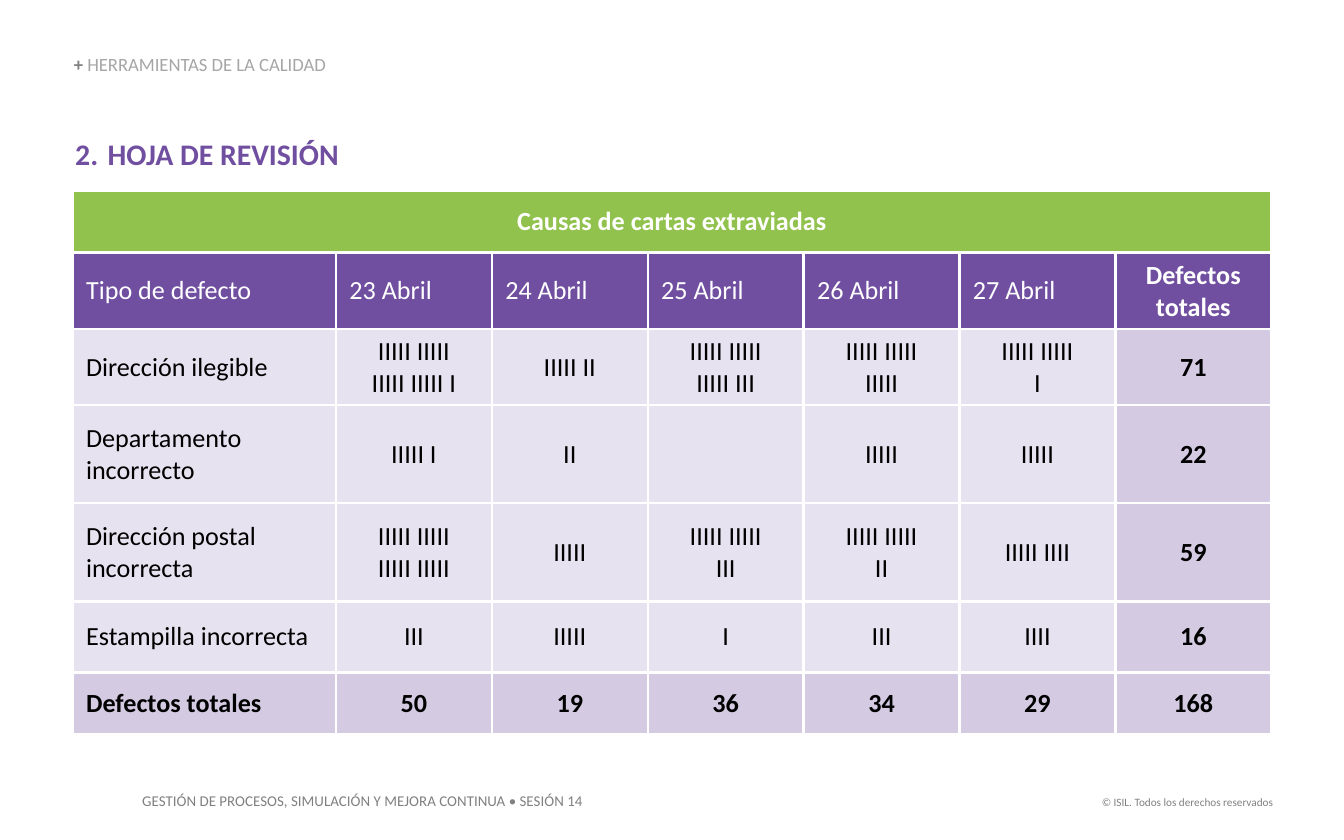
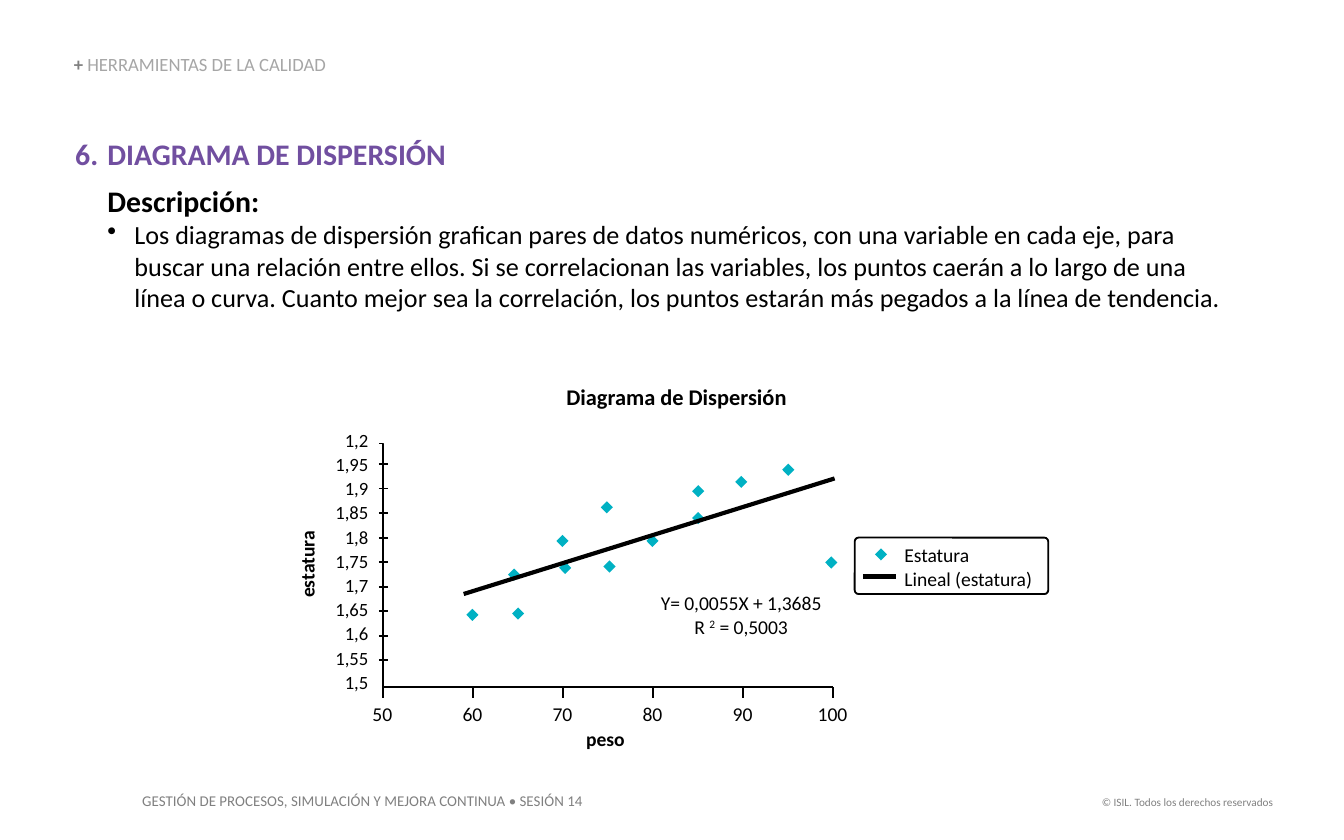
from lxml import etree
from pptx import Presentation
from pptx import util as u
from pptx.dml.color import RGBColor
from pptx.enum import shapes, text
from pptx.oxml.ns import qn

PX = 9144
FONT = "Calibri"
COLORS = {
    "white": "FFFFFF", "black": "000000", "gray": "808080", "light_gray": "A6A6A6",
    "purple": "714FA0", "green": "92C24E", "lilac": "D4CBE3", "teal": "00B1C3",
}
LEFT, CENTER, RIGHT = text.PP_ALIGN.LEFT, text.PP_ALIGN.CENTER, text.PP_ALIGN.RIGHT

SECTION = "HERRAMIENTAS DE LA CALIDAD"
COURSE = "GESTIÓN DE PROCESOS, SIMULACIÓN Y MEJORA CONTINUA • SESIÓN 14"
COPYRIGHT = "© ISIL. Todos los derechos reservados"

TABLE_TITLE = "Causas de cartas extraviadas"
TABLE_ROWS = [
    ["Tipo de defecto", "23 Abril", "24 Abril", "25 Abril", "26 Abril", "27 Abril", "Defectos totales"],
    ["Dirección ilegible", "IIIII IIIII\nIIIII IIIII I", "IIIII II", "IIIII IIIII\nIIIII III",
     "IIIII IIIII\nIIIII", "IIIII IIIII\nI", "71"],
    ["Departamento incorrecto", "IIIII I", "II", "", "IIIII", "IIIII", "22"],
    ["Dirección postal incorrecta", "IIIII IIIII\nIIIII IIIII", "IIIII", "IIIII IIIII\nIII",
     "IIIII IIIII\nII", "IIIII IIII", "59"],
    ["Estampilla incorrecta", "III", "IIIII", "I", "III", "IIII", "16"],
    ["Defectos totales", "50", "19", "36", "34", "29", "168"],
]
COLUMN_WIDTHS = [196] + [116] * 6
ROW_HEIGHTS = [46, 56, 56, 73, 73, 53, 46]

DESCRIPTION_TITLE = "Descripción:"
DESCRIPTION = (
    "Los diagramas de dispersión grafican pares de datos numéricos, con una variable en cada eje, "
    "para buscar una relación entre ellos. Si se correlacionan las variables, los puntos caerán a lo "
    "largo de una línea o curva. Cuanto mejor sea la correlación, los puntos estarán más pegados a "
    "la línea de tendencia."
)
HEIGHT_LABELS = ["1,2", "1,95", "1,9", "1,85", "1,8", "1,75", "1,7", "1,65", "1,6", "1,55", "1,5"]
WEIGHT_LABELS = ["50", "60", "70", "80", "90", "100"]
POINTS = [
    (347, 453), (381, 452), (378, 423), (414, 398), (416, 418), (449, 417), (447, 373),
    (481, 398), (515, 361), (515, 381), (547, 354), (582, 345), (614, 414),
]
LEGEND_POINT = (651, 408)
DIAMOND = 9
AXIS_LEFT, AXIS_TOP, AXIS_RIGHT, AXIS_BOTTOM = 285, 330, 620, 511


def px(*lengths):
    return [u.Emu(round(length * PX)) for length in lengths]


def rgb(name):
    return RGBColor.from_string(COLORS[name])


def add_run(paragraph, words, size=14, color="black", bold=False, raised=False):
    run = paragraph.add_run()
    run.text = words
    for name, value in {"name": FONT, "size": u.Pt(size), "bold": bold}.items():
        setattr(run.font, name, value)
    run.font.color.rgb = rgb(color)
    if raised:
        run._r.get_or_add_rPr().set("baseline", "30000")


def write(frame, paragraphs, align=LEFT, **style):
    for index, runs in enumerate(paragraphs):
        paragraph = frame.paragraphs[0] if index == 0 else frame.add_paragraph()
        paragraph.alignment = align
        for words, changes in ([(runs, {})] if isinstance(runs, str) else runs):
            add_run(paragraph, words, **{**style, **changes})


def add_text(parent, box, paragraphs, margins=(0, 0, 0, 0), anchor=text.MSO_ANCHOR.TOP,
             wrap=True, **style):
    shape = parent.shapes.add_textbox(*px(*box))
    frame = shape.text_frame
    sides = ("margin_left", "margin_top", "margin_right", "margin_bottom")
    settings = dict(zip(sides, px(*margins)))
    settings.update(word_wrap=wrap, vertical_anchor=anchor,
                    auto_size=text.MSO_AUTO_SIZE.SHAPE_TO_FIT_TEXT)
    for name, value in settings.items():
        setattr(frame, name, value)
    write(frame, paragraphs, **style)
    return shape


def set_bullet(paragraph, left, hanging, tag=None, **attributes):
    properties = paragraph._p.get_or_add_pPr()
    properties.set("marL", str(left * PX))
    properties.set("indent", str(-hanging * PX))
    if tag:
        etree.SubElement(properties, qn(tag), attributes)


def add_line(parent, start, end, width=1, kind=shapes.MSO_CONNECTOR.STRAIGHT):
    line = parent.shapes.add_connector(kind, *px(*start, *end))
    line.line.color.rgb = rgb("black")
    line.line.width = u.Pt(width)
    etree.SubElement(line._element.spPr, qn("a:effectLst"))
    return line


def add_diamond(parent, left, top):
    diamond = parent.shapes.add_shape(shapes.MSO_SHAPE.DIAMOND, *px(left, top, DIAMOND, DIAMOND))
    diamond.shadow.inherit = False
    diamond.fill.solid()
    diamond.fill.fore_color.rgb = rgb("teal")
    diamond.line.fill.background()


def add_base(presentation, number, title, body=(), width=841, height=32):
    slide = presentation.slides.add_slide(presentation.slide_layouts[6])
    inset = (10, 5, 10, 5)
    add_text(slide, (807, 587, 150, 20), [COPYRIGHT], inset, wrap=False, align=RIGHT,
             size=6, color="gray")
    add_text(slide, (96, 584, 353, 24), [COURSE], inset, size=8, color="gray")
    header = add_text(slide, (55, 41, 266, 15), [[("+ ", {"color": "gray", "bold": True}), (SECTION, {})]],
                      anchor=text.MSO_ANCHOR.BOTTOM, size=10, color="light_gray")
    header.text_frame.paragraphs[0].line_spacing = 0.9
    heading = [(title, {"size": 16, "color": "purple", "bold": True})]
    content = add_text(slide, (56, 101, width, height), [heading, *body], (0, 0, 0, 5))
    first = content.text_frame.paragraphs[0]
    set_bullet(first, 24, 24, "a:buAutoNum", type="arabicPeriod", startAt=str(number))
    first.space_after = u.Pt(6)
    return slide, content.text_frame.paragraphs


def paint_cell(cell, color, opacity=100):
    cell.fill.solid()
    cell.fill.fore_color.rgb = rgb(color)
    properties = cell._tc.get_or_add_tcPr()
    if opacity < 100:
        fill_color = properties.find(".//" + qn("a:srgbClr"))
        etree.SubElement(fill_color, qn("a:alpha"), val=str(opacity * 1000))
    for index, side in enumerate(("lnL", "lnR", "lnT", "lnB")):
        border = etree.Element(qn("a:" + side), w=str(u.Pt(1.5)))
        solid = etree.SubElement(border, qn("a:solidFill"))
        etree.SubElement(solid, qn("a:srgbClr"), val=COLORS["white"])
        properties.insert(index, border)


def add_defect_table(slide):
    rows = [[TABLE_TITLE] + [""] * 6, *TABLE_ROWS]
    last_row, last_column = len(rows) - 1, len(COLUMN_WIDTHS) - 1
    box = px(54, 142, sum(COLUMN_WIDTHS), sum(ROW_HEIGHTS))
    table = slide.shapes.add_table(len(rows), len(COLUMN_WIDTHS), *box).table
    for column, width in zip(table.columns, px(*COLUMN_WIDTHS)):
        column.width = width
    for row, height in zip(table.rows, px(*ROW_HEIGHTS)):
        row.height = height
    table.cell(0, 0).merge(table.cell(0, last_column))
    for r, row in enumerate(rows):
        for c, words in enumerate(row):
            cell = table.cell(r, c)
            cell.vertical_anchor = text.MSO_ANCHOR.MIDDLE
            total = r == last_row or c == last_column
            if r < 2:
                paint_cell(cell, ("green", "purple")[r])
            else:
                paint_cell(cell, "lilac", 100 if total else 55)
            if words:
                left = r > 0 and (c == 0 or (r == 1 and c < last_column))
                write(cell.text_frame, words.split("\n"), align=LEFT if left else CENTER,
                      color="white" if r < 2 else "black", bold=total or r == 0)


def add_axes(group):
    axes = add_line(group, (AXIS_LEFT - 3, AXIS_TOP), (AXIS_RIGHT, AXIS_BOTTOM),
                    kind=shapes.MSO_CONNECTOR.ELBOW)
    geometry = axes._element.spPr.find(qn("a:prstGeom"))
    guides = geometry.find(qn("a:avLst"))
    if guides is None:
        guides = etree.SubElement(geometry, qn("a:avLst"))
    etree.SubElement(guides, qn("a:gd"), name="adj1", fmla="val 885")

    for index, label in enumerate(HEIGHT_LABELS):
        add_text(group, (237, 319 + 18 * index, 37, 17), [label], align=RIGHT, size=10)
        if 0 < index < len(HEIGHT_LABELS) - 1:
            y = 327 + 18.25 * index
            add_line(group, (AXIS_LEFT - 3, y), (AXIS_LEFT + 4, y))

    step = (AXIS_RIGHT - AXIS_LEFT) / (len(WEIGHT_LABELS) - 1)
    for index, label in enumerate(WEIGHT_LABELS):
        x = AXIS_LEFT + step * index
        add_line(group, (x, AXIS_BOTTOM + 8), (x, AXIS_BOTTOM))
        add_text(group, (x - 19, 522, 37, 18), [label], align=CENTER, size=10.5)

    add_text(group, (432, 541, 37, 18), ["peso"], align=CENTER, size=10.5, bold=True)
    height_title = add_text(group, (203, 411, 51, 18), ["estatura"], align=CENTER, size=10.5, bold=True)
    height_title.rotation = 270


def add_legend(group):
    frame = group.shapes.add_shape(shapes.MSO_SHAPE.ROUNDED_RECTANGLE, *px(636, 400, 144, 42))
    frame.adjustments[0] = 0.07
    frame.shadow.inherit = False
    frame.fill.background()
    frame.line.color.rgb = rgb("black")
    frame.line.width = u.Pt(1)
    add_text(group, (673, 404, 107, 35), ["Estatura", "Lineal (estatura)"], size=10.5)
    add_diamond(group, *LEGEND_POINT)
    add_line(group, (642, 429), (667, 429), 2.25)


def add_scatter_diagram(slide):
    group = slide.shapes.add_group_shape()
    add_text(group, (381, 285, 245, 20), ["Diagrama de Dispersión"], align=CENTER, size=12, bold=True)
    add_axes(group)
    for point in POINTS:
        add_diamond(group, *point)
    add_line(group, (345, 442), (621, 356), 2.25)
    equation = ["Y= 0,0055X + 1,3685", [("R ", {}), ("2", {"raised": True}), (" = 0,5003", {})]]
    add_text(group, (486, 440, 131, 35), equation, align=CENTER, size=10.5)
    add_legend(group)


def main():
    presentation = Presentation()
    presentation.slide_width, presentation.slide_height = px(1000, 625)

    slide, _ = add_base(presentation, 2, "HOJA DE REVISIÓN")
    add_defect_table(slide)

    body = [[(DESCRIPTION_TITLE, {"size": 16, "bold": True})], DESCRIPTION]
    slide, paragraphs = add_base(presentation, 6, "DIAGRAMA DE DISPERSIÓN", body, 856, 138)
    set_bullet(paragraphs[1], 24, 0)
    set_bullet(paragraphs[2], 44, 20, "a:buChar", char="•")
    add_scatter_diagram(slide)

    presentation.save("out.pptx")


if __name__ == "__main__":
    main()
